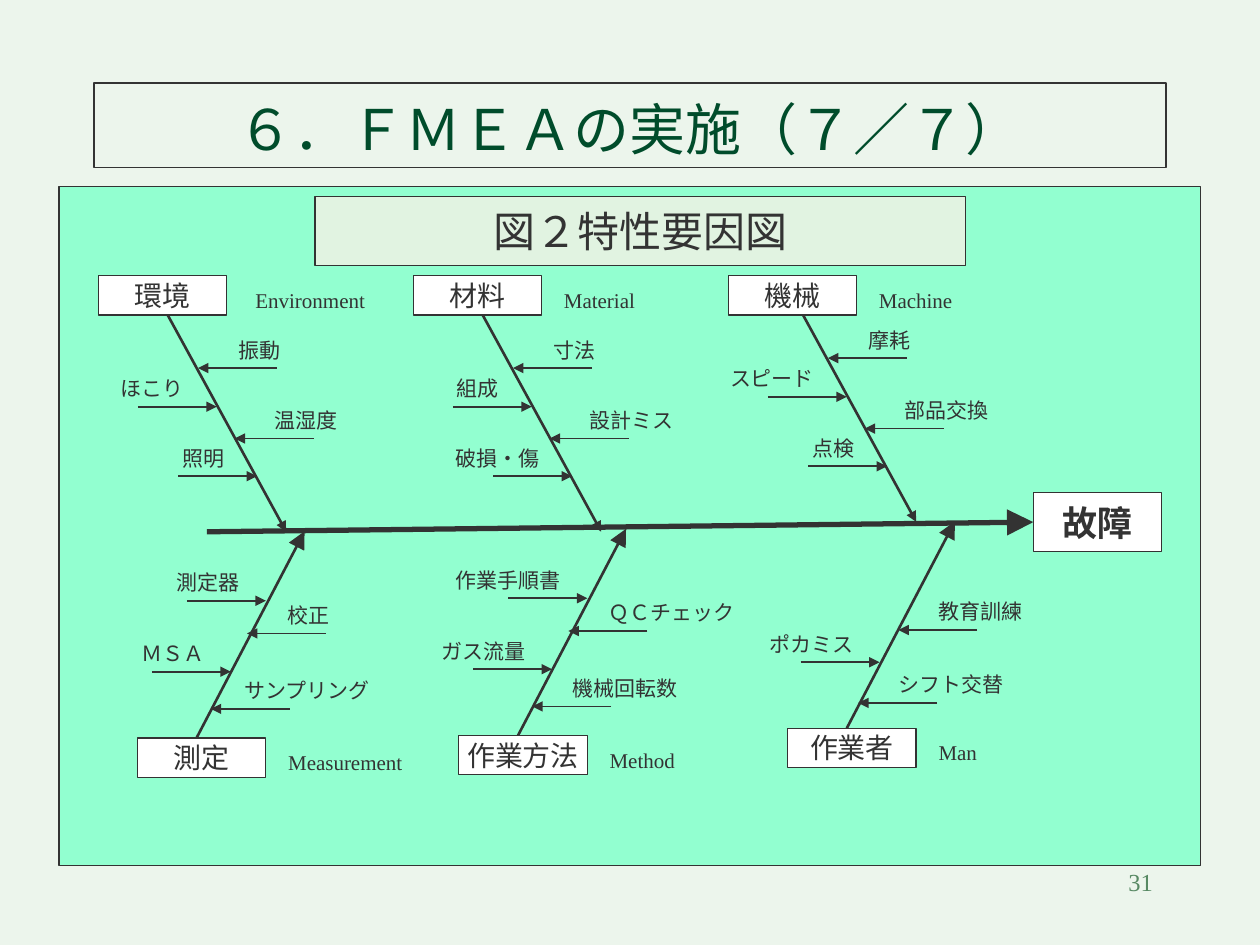
from dataclasses import dataclass
from lxml.etree import SubElement
from pptx import Presentation
from pptx.dml.color import RGBColor
from pptx.enum.shapes import MSO_CONNECTOR, MSO_SHAPE
from pptx.enum.text import MSO_ANCHOR, PP_ALIGN
from pptx.oxml.ns import qn
from pptx.util import Cm, Pt

INK = RGBColor(0x33, 0x33, 0x33)
PAPER = RGBColor(0xEC, 0xF5, 0xEC)
TITLE_GREEN = RGBColor(0x00, 0x4C, 0x2B)
PANEL_GREEN = RGBColor(0x92, 0xFF, 0xD0)
CAPTION_GREEN = RGBColor(0xE1, 0xF3, 0xE1)
NUMBER_GREEN = RGBColor(0x57, 0x89, 0x63)
WHITE = RGBColor(0xFF, 0xFF, 0xFF)
FONT = "Times New Roman"

CATEGORY_WIDTH, CATEGORY_HEIGHT = 2.59, 0.79
TWIG_LENGTH = 1.59
CAUSE_WIDTH, LABEL_HEIGHT = 2.77, 0.58
CHARACTER_WIDTH, LABEL_INSETS = 0.43, 0.55


@dataclass
class Side:
    bone: tuple
    category_left: float
    left_cause_offset: float
    head_size: str
    twigs: tuple


UPPER = Side((2.39, 4.37), -1.4, -3.18, "med",
             (("right", 0.61, 1.07), ("left", 0.99, 1.85),
              ("right", 1.35, 2.49), ("left", 1.8, 3.25)))
LOWER = Side((2.18, -4.17), -1.19, -3.05, "lg",
             (("left", 1.4, -2.77), ("right", 1.02, -2.11),
              ("left", 0.69, -1.34), ("right", 0.29, -0.59)))
LOWER_SHORT = Side(LOWER.bone, LOWER.category_left, LOWER.left_cause_offset, "lg",
                   (("right", 1.04, -1.98), ("left", 0.66, -1.33),
                    ("right", 0.23, -0.51)))


@dataclass
class Category:
    name: str
    english: str
    side: Side
    start: tuple
    top: float
    causes: tuple
    english_width: float = 2.39
    english_align: PP_ALIGN = PP_ALIGN.LEFT
    centred_cause: str = ""


CATEGORIES = (
    Category("環境", "Environment", UPPER, (3.38, 6.35), 5.56,
             ("振動", "ほこり", "温湿度", "照明"), 2.97, PP_ALIGN.CENTER),
    Category("材料", "Material", UPPER, (9.73, 6.35), 5.56,
             ("寸法", "組成", "設計ミス", "破損・傷")),
    Category("機械", "Machine", UPPER, (16.08, 6.15), 5.56,
             ("摩耗", "スピード", "部品交換", "点検")),
    Category("測定", "Measurement", LOWER, (3.96, 14.88), 14.88,
             ("測定器", "校正", "ＭＳＡ", "サンプリング"), 2.97,
             centred_cause="サンプリング"),
    Category("作業方法", "Method", LOWER, (10.44, 14.83), 14.83,
             ("作業手順書", "ＱＣチェック", "ガス流量", "機械回転数")),
    Category("作業者", "Man", LOWER_SHORT, (17.07, 14.68), 14.68,
             ("教育訓練", "ポカミス", "シフト交替")),
)


def write(holder, text, size, color=INK, align=PP_ALIGN.LEFT,
          anchor=MSO_ANCHOR.MIDDLE, bold=False, wrap=False):
    frame = holder.text_frame
    frame.word_wrap = wrap
    frame.vertical_anchor = anchor
    paragraph = frame.paragraphs[0]
    paragraph.alignment = align
    run = paragraph.add_run()
    run.text = text
    run.font.name = FONT
    run.font.size = Pt(size)
    run.font.bold = bold
    run.font.color.rgb = color


def add_box(slide, left, top, width, height, fill, weight=0.75):
    box = slide.shapes.add_shape(MSO_SHAPE.RECTANGLE, Cm(left), Cm(top),
                                 Cm(width), Cm(height))
    box.shadow.inherit = False
    box.fill.solid()
    box.fill.fore_color.rgb = fill
    box.line.color.rgb = INK
    box.line.width = Pt(weight)
    return box


def add_label(slide, left, top, width, height, text, size=12, **style):
    label = slide.shapes.add_textbox(Cm(left), Cm(top), Cm(width), Cm(height))
    write(label, text, size, **style)


def add_arrow(slide, start, end, weight, head_size="med"):
    arrow = slide.shapes.add_connector(
        MSO_CONNECTOR.STRAIGHT, *(Cm(value) for value in (*start, *end)))
    arrow.line.color.rgb = INK
    arrow.line.width = Pt(weight)
    SubElement(arrow.line._get_or_add_ln(), qn("a:tailEnd"),
               type="triangle", w=head_size, len=head_size)
    SubElement(arrow._element.spPr, qn("a:effectLst"))
    return arrow


def add_cause(slide, category, twig, cause):
    direction, dx, dy = twig
    x, y = category.start[0] + dx, category.start[1] + dy
    width = max(CAUSE_WIDTH, CHARACTER_WIDTH * len(cause) + LABEL_INSETS)
    if direction == "left":
        tail, offset, align = x - TWIG_LENGTH, category.side.left_cause_offset, PP_ALIGN.RIGHT
    else:
        tail, offset, align = x + TWIG_LENGTH, 0.56, PP_ALIGN.LEFT
    if cause == category.centred_cause:
        align = PP_ALIGN.CENTER
        offset -= (width - CAUSE_WIDTH) / 2
    add_arrow(slide, (tail, y), (x, y), 1)
    add_label(slide, x + offset, y - 0.66, width, LABEL_HEIGHT, cause, align=align)


def add_category(slide, category):
    side = category.side
    x, y = category.start
    add_arrow(slide, (x, y), (x + side.bone[0], y + side.bone[1]), 1.5, side.head_size)
    for twig, cause in zip(side.twigs, category.causes):
        add_cause(slide, category, twig, cause)
    left = x + side.category_left
    name_box = add_box(slide, left, category.top, CATEGORY_WIDTH, CATEGORY_HEIGHT, WHITE)
    write(name_box, category.name, 16, align=PP_ALIGN.CENTER)
    add_label(slide, left + 2.79, category.top + 0.2, category.english_width,
              LABEL_HEIGHT, category.english, align=category.english_align)


def add_effect(slide):
    effect = add_box(slide, 20.83, 9.93, 2.59, 1.19, WHITE)
    write(effect, "故障", 20, align=PP_ALIGN.CENTER, bold=True)
    spine = add_arrow(slide, (4.17, 10.72), (20.83, 10.52), 3, "lg")
    spine.end_connect(effect, 1)


def main():
    deck = Presentation()
    deck.slide_width, deck.slide_height = Cm(25.4), Cm(19.05)
    slide = deck.slides.add_slide(deck.slide_layouts[6])
    slide.background.fill.solid()
    slide.background.fill.fore_color.rgb = PAPER

    title = add_box(slide, 1.9, 1.68, 21.6, 1.7, PAPER, 1)
    write(title, "６．ＦＭＥＡの実施（７／７）", 32, TITLE_GREEN, PP_ALIGN.CENTER,
          MSO_ANCHOR.BOTTOM, wrap=True)
    add_box(slide, 1.19, 3.76, 23.01, 13.69, PANEL_GREEN)
    caption = add_box(slide, 6.35, 3.96, 13.11, 1.4, CAPTION_GREEN)
    write(caption, "図２特性要因図", 24, align=PP_ALIGN.CENTER, wrap=True)
    add_label(slide, 18.21, 17.35, 5.28, 1.27, "31", 14, color=NUMBER_GREEN,
              align=PP_ALIGN.RIGHT, anchor=MSO_ANCHOR.TOP, wrap=True)

    add_effect(slide)
    for category in CATEGORIES:
        add_category(slide, category)
    deck.save("out.pptx")


if __name__ == "__main__":
    main()
